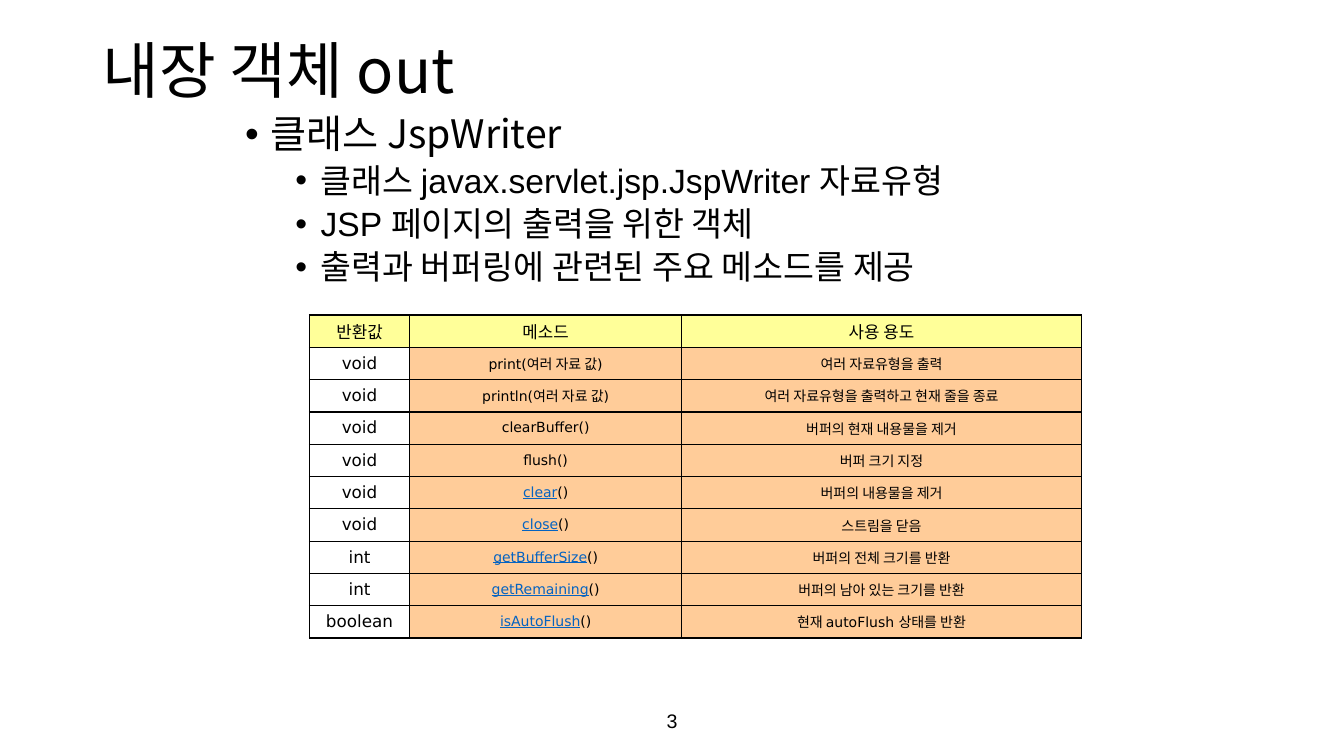
from lxml.etree import SubElement
from pptx import Presentation
from pptx.dml.color import RGBColor
from pptx.enum.text import MSO_ANCHOR, MSO_AUTO_SIZE, PP_ALIGN
from pptx.oxml.ns import qn
from pptx.util import Pt

SANS, ARIAL, TABLE = "Noto Sans CJK KR", "Arial", "DejaVu Sans"
BLACK, WHITE, YELLOW, ORANGE, BLUE = "000000", "FFFFFF", "FFFF99", "FFCC99", "0563C1"

POINTS = [
    "클래스 javax.servlet.jsp.JspWriter 자료유형",
    "JSP 페이지의 출력을 위한 객체",
    "출력과 버퍼링에 관련된 주요 메소드를 제공",
]
HEADS = ("반환값", "메소드", "사용 용도")
# Return type, linked name, plain rest of the method, purpose
METHODS = [
    ("void", "", "print(여러 자료 값)", "여러 자료유형을 출력"),
    ("void", "", "println(여러 자료 값)", "여러 자료유형을 출력하고 현재 줄을 종료"),
    ("void", "", "clearBuffer()", "버퍼의 현재 내용물을 제거"),
    ("void", "", "flush()", "버퍼 크기 지정"),
    ("void", "clear", "()", "버퍼의 내용물을 제거"),
    ("void", "close", "()", "스트림을 닫음"),
    ("int", "getBufferSize", "()", "버퍼의 전체 크기를 반환"),
    ("int", "getRemaining", "()", "버퍼의 남아 있는 크기를 반환"),
    ("boolean", "isAutoFlush", "()", "현재 autoFlush 상태를 반환"),
]


def color(code):
    return RGBColor.from_string(code)


def style(para, size, face, align=PP_ALIGN.LEFT):
    para.alignment = align
    para.font.size = Pt(size)
    para.font.name = face
    para.font.color.rgb = color(BLACK)
    base = para._p.pPr.find(qn("a:defRPr"))
    SubElement(base, qn("a:ea"), typeface=SANS)


def add_title(slide, left, top, width, height):
    title = slide.shapes.title
    title.left, title.top = Pt(left), Pt(top)
    title.width, title.height = Pt(width), Pt(height)
    frame = title.text_frame
    frame.text = "내장 객체 out"
    frame.auto_size = MSO_AUTO_SIZE.NONE
    frame.vertical_anchor = MSO_ANCHOR.MIDDLE
    para = frame.paragraphs[0]
    para.line_spacing = 0.9
    style(para, 44, SANS)


def add_box(slide, left, top, width, height):
    box = slide.shapes.add_textbox(Pt(left), Pt(top), Pt(width), Pt(height))
    box.text_frame.word_wrap = True
    return box.text_frame


def bullet(para, level, before):
    """Hang a round bullet 18 pt left of the text."""
    para.level = level
    para.line_spacing = 0.9
    para.space_before = Pt(before)
    props = para._p.get_or_add_pPr()
    props.set("marL", str(Pt(18 + 36 * level)))
    props.set("indent", str(-Pt(18)))
    SubElement(props, qn("a:buFont"), typeface=ARIAL)
    SubElement(props, qn("a:buChar"), char="•")


def add_body(slide, left, top, width, height):
    frame = add_box(slide, left, top, width, height)
    head = frame.paragraphs[0]
    head.text = "클래스 JspWriter"
    bullet(head, 0, 10)
    style(head, 28, SANS)
    for text in POINTS:
        para = frame.add_paragraph()
        para.text = text
        bullet(para, 1, 5)
        style(para, 24, ARIAL)


def border(cell):
    props = cell._tc.get_or_add_tcPr()
    for i, side in enumerate(("a:lnL", "a:lnR", "a:lnT", "a:lnB")):
        line = props.makeelement(qn(side), {"w": str(Pt(1))})
        fill = SubElement(line, qn("a:solidFill"))
        SubElement(fill, qn("a:srgbClr"), val=BLACK)
        props.insert(i, line)


def fill_cell(cell, text, size, back, link=""):
    cell.margin_left = cell.margin_right = Pt(5)
    cell.margin_top = cell.margin_bottom = 0
    cell.vertical_anchor = MSO_ANCHOR.MIDDLE
    cell.fill.solid()
    cell.fill.fore_color.rgb = color(back)
    border(cell)
    para = cell.text_frame.paragraphs[0]
    if link:
        run = para.add_run()
        run.text = link
        run.font.underline = True
        run.font.color.rgb = color(BLUE)
    para.add_run().text = text
    style(para, size, TABLE, PP_ALIGN.CENTER)


def add_methods(slide, left, top, width, height):
    count = len(METHODS) + 1
    frame = slide.shapes.add_table(count, 3, Pt(left), Pt(top), Pt(width), Pt(height))
    table = frame.table
    table.first_row = table.horz_banding = False
    for col, share in zip(table.columns, (0.13, 0.352, 0.518)):
        col.width = Pt(width * share)
    for row in table.rows:
        row.height = Pt(height / count)
    for i, text in enumerate(HEADS):
        fill_cell(table.cell(0, i), text, 12, YELLOW)
    for i, (kind, link, rest, use) in enumerate(METHODS, 1):
        fill_cell(table.cell(i, 0), kind, 12, WHITE)
        fill_cell(table.cell(i, 1), rest, 10, ORANGE, link)
        fill_cell(table.cell(i, 2), use, 10, ORANGE)


def add_number(slide, left, top, width, height):
    frame = add_box(slide, left, top, width, height)
    frame.vertical_anchor = MSO_ANCHOR.MIDDLE
    frame.text = "3"
    style(frame.paragraphs[0], 14, ARIAL, PP_ALIGN.CENTER)


def main():
    deck = Presentation()
    deck.slide_width, deck.slide_height = Pt(960), Pt(540)
    slide = deck.slides.add_slide(deck.slide_layouts[5])
    add_title(slide, 66, 0, 828, 104.4)
    add_body(slide, 168, 78.5, 631.5, 405)
    add_number(slide, 318, 500.5, 324, 28.75)
    add_methods(slide, 221, 225, 551.5, 231)
    deck.save("out.pptx")


if __name__ == "__main__":
    main()
